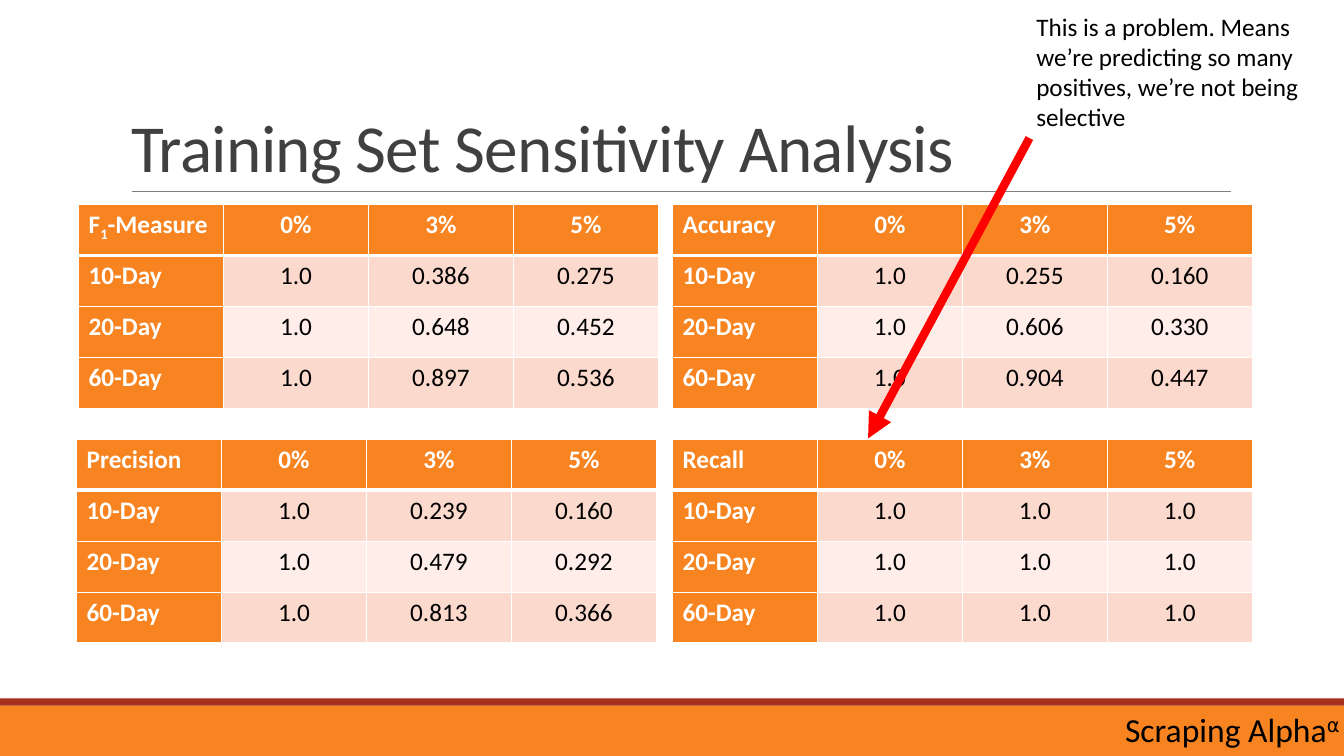
from dataclasses import dataclass

from lxml.etree import SubElement
from pptx import Presentation
from pptx.dml.color import RGBColor
from pptx.enum.shapes import MSO_CONNECTOR as Connector, MSO_SHAPE as Shape
from pptx.enum.text import MSO_ANCHOR as Anchor, PP_ALIGN as Align
from pptx.oxml.ns import qn
from pptx.util import Inches, Pt

COLORS = {
    "orange": "F88421",
    "rust": "A72F1D",
    "rule": "808080",
    "title": "404040",
    "white": "FFFFFF",
    "black": "000000",
    "red": "FF0000",
    "band_dark": "FCD9CD",
    "band_light": "FEEDE8",
}
FONT = "Calibri"
THRESHOLDS = ("0%", "3%", "5%")
HORIZONS = ("10-Day", "20-Day", "60-Day")
TABLE_WIDTH, TABLE_HEIGHT = 5.75, 2.02
TOP_ROW, BOTTOM_ROW = 2.03, 4.36
RIGHT_COLUMN = 6.67


@dataclass(frozen=True)
class Piece:
    """A stretch of text; baseline is a percentage, below zero for subscript."""
    text: str
    baseline: int = 0


@dataclass(frozen=True)
class MetricTable:
    name: tuple[Piece, ...]
    left: float
    top: float
    values: tuple[tuple[str, ...], ...]


@dataclass(frozen=True)
class Bar:
    top: float
    height: float
    color: str


@dataclass(frozen=True)
class Line:
    start: tuple[float, float]
    end: tuple[float, float]
    color: str
    width: float
    arrow: bool = False


METRICS = (
    MetricTable((Piece("F"), Piece("1", -25), Piece("-Measure")), 0.78, TOP_ROW, (
        ("1.0", "0.386", "0.275"),
        ("1.0", "0.648", "0.452"),
        ("1.0", "0.897", "0.536"))),
    MetricTable((Piece("Precision"),), 0.76, BOTTOM_ROW, (
        ("1.0", "0.239", "0.160"),
        ("1.0", "0.479", "0.292"),
        ("1.0", "0.813", "0.366"))),
    MetricTable((Piece("Accuracy"),), RIGHT_COLUMN, TOP_ROW, (
        ("1.0", "0.255", "0.160"),
        ("1.0", "0.606", "0.330"),
        ("1.0", "0.904", "0.447"))),
    MetricTable((Piece("Recall"),), RIGHT_COLUMN, BOTTOM_ROW,
                (("1.0",) * 3,) * 3),
)
BARS = (Bar(7, 0.5, "orange"), Bar(6.93, 0.07, "rust"))
TITLE_RULE = Line((1.31, 1.9), (12.21, 1.9), "rule", 0.5)
PROBLEM_ARROW = Line((10.21, 1.37), (8.61, 4.35), "red", 6, arrow=True)


def rgb(color: str) -> RGBColor:
    return RGBColor.from_string(COLORS[color])


def write(paragraph, *pieces: Piece, size: float = 18, color: str = "black",
          bold: bool = False, align=Align.LEFT, spacing: float = 0) -> None:
    """Add the pieces as runs; spacing is the gap between letters in points."""
    paragraph.alignment = align
    for piece in pieces:
        run = paragraph.add_run()
        run.text = piece.text
        run.font.name = FONT
        run.font.size = Pt(size)
        run.font.bold = bold
        run.font.color.rgb = rgb(color)
        properties = run.font._element
        if piece.baseline:
            properties.set("baseline", str(piece.baseline * 1000))
        if spacing:
            properties.set("spc", str(round(spacing * 100)))


def add_bar(slide, bar: Bar, width: int) -> None:
    shape = slide.shapes.add_shape(
        Shape.RECTANGLE, 0, Inches(bar.top), width, Inches(bar.height))
    shape.shadow.inherit = False
    shape.fill.solid()
    shape.fill.fore_color.rgb = rgb(bar.color)
    shape.line.fill.background()


def add_line(slide, line: Line) -> None:
    ends = [Inches(value) for value in line.start + line.end]
    connector = slide.shapes.add_connector(Connector.STRAIGHT, *ends)
    connector.line.color.rgb = rgb(line.color)
    connector.line.width = Pt(line.width)
    if line.arrow:
        SubElement(connector.line._get_or_add_ln(), qn("a:tailEnd"), type="triangle")
    SubElement(connector._element.spPr, qn("a:effectLst"))


def add_title(slide, text: str) -> None:
    title = slide.shapes.title
    title.left, title.top = Inches(1.2), Inches(0.31)
    title.width, title.height = Inches(11), Inches(1.59)
    title.text_frame.vertical_anchor = Anchor.BOTTOM
    paragraph = title.text_frame.paragraphs[0]
    paragraph.line_spacing = 0.85
    write(paragraph, Piece(text), size=48, color="title", spacing=-0.5)


def add_text_box(slide, left: float, top: float, width: float, height: float,
                 *pieces: Piece, size: float) -> None:
    box = slide.shapes.add_textbox(
        Inches(left), Inches(top), Inches(width), Inches(height))
    box.text_frame.word_wrap = True
    write(box.text_frame.paragraphs[0], *pieces, size=size)


def style_cell(cell, fill: str, top: float, bottom: float) -> None:
    """Set white borders, top and bottom in points, and the fill."""
    properties = cell._tc.get_or_add_tcPr()
    for side, width in (("L", 1), ("R", 1), ("T", top), ("B", bottom)):
        border = SubElement(properties, qn(f"a:ln{side}"), w=str(Pt(width)))
        solid = SubElement(border, qn("a:solidFill"))
        SubElement(solid, qn("a:srgbClr"), val=COLORS["white"])
    cell.fill.solid()
    cell.fill.fore_color.rgb = rgb(fill)


def add_metric_table(slide, metric: MetricTable) -> None:
    rows = [(metric.name, *((Piece(text),) for text in THRESHOLDS))]
    for horizon, values in zip(HORIZONS, metric.values):
        rows.append(tuple((Piece(text),) for text in (horizon, *values)))

    table = slide.shapes.add_table(
        len(rows), len(rows[0]), Inches(metric.left), Inches(metric.top),
        Inches(TABLE_WIDTH), Inches(TABLE_HEIGHT)).table
    table.first_col = True
    for row, contents in enumerate(rows):
        band = "band_dark" if row % 2 else "band_light"
        for column, pieces in enumerate(contents):
            heading = row == 0 or column == 0
            cell = table.cell(row, column)
            style_cell(cell, "orange" if heading else band,
                       top=3 if row == 1 else 1, bottom=3 if row == 0 else 1)
            write(cell.text_frame.paragraphs[0], *pieces, bold=heading,
                  color="white" if heading else "black",
                  align=Align.CENTER if column else Align.LEFT)


def main() -> None:
    presentation = Presentation()
    presentation.slide_width = Inches(13.33)
    presentation.slide_height = Inches(7.5)
    title_only = presentation.slide_layouts.get_by_name("Title Only")
    slide = presentation.slides.add_slide(title_only)

    for bar in BARS:
        add_bar(slide, bar, presentation.slide_width)
    add_line(slide, TITLE_RULE)
    add_title(slide, "Training Set Sensitivity Analysis")
    for metric in METRICS:
        add_metric_table(slide, metric)
    add_line(slide, PROBLEM_ARROW)
    add_text_box(slide, 10.18, 0.06, 3.26, 1.31, Piece(
        "This is a problem. Means we’re predicting so many positives, "
        "we’re not being selective"), size=18)
    add_text_box(slide, 11.06, 6.98, 2.49, 0.5,
                 Piece("Scraping Alpha"), Piece("⍺", 30), size=24)
    presentation.save("out.pptx")


if __name__ == "__main__":
    main()
